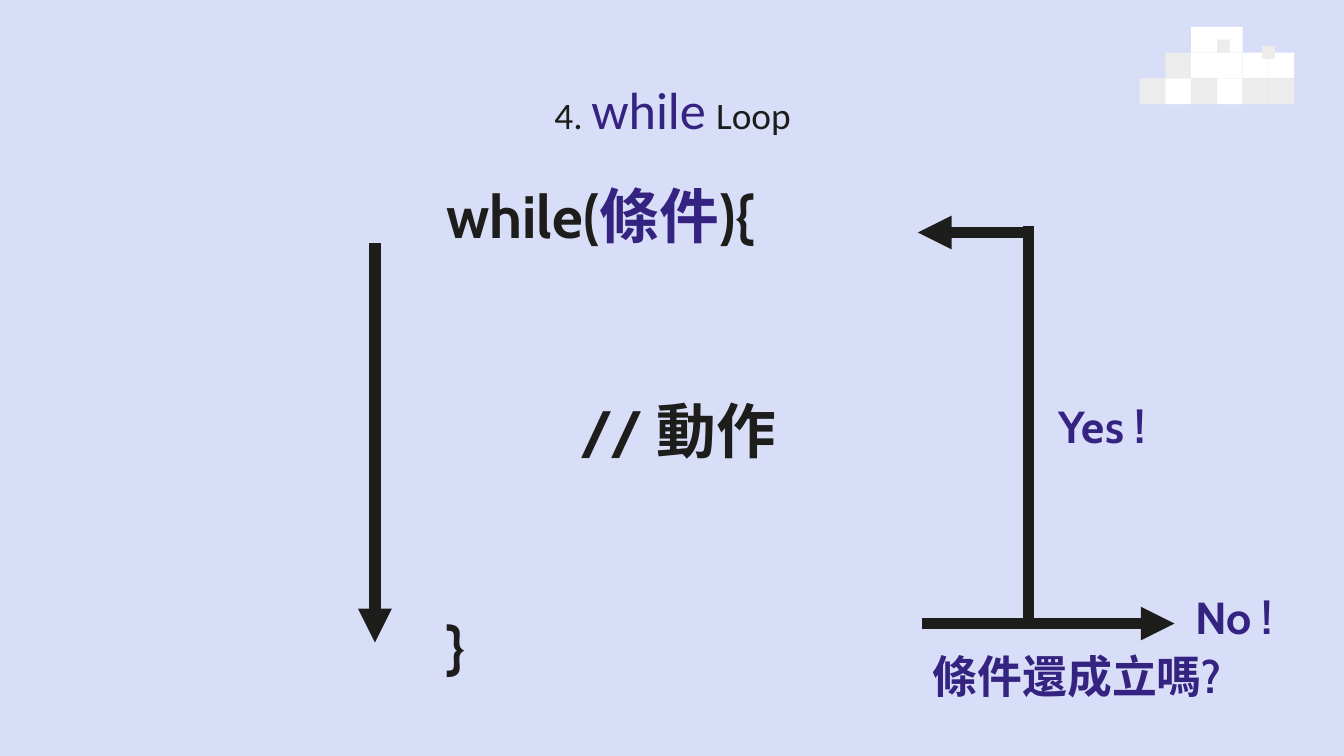
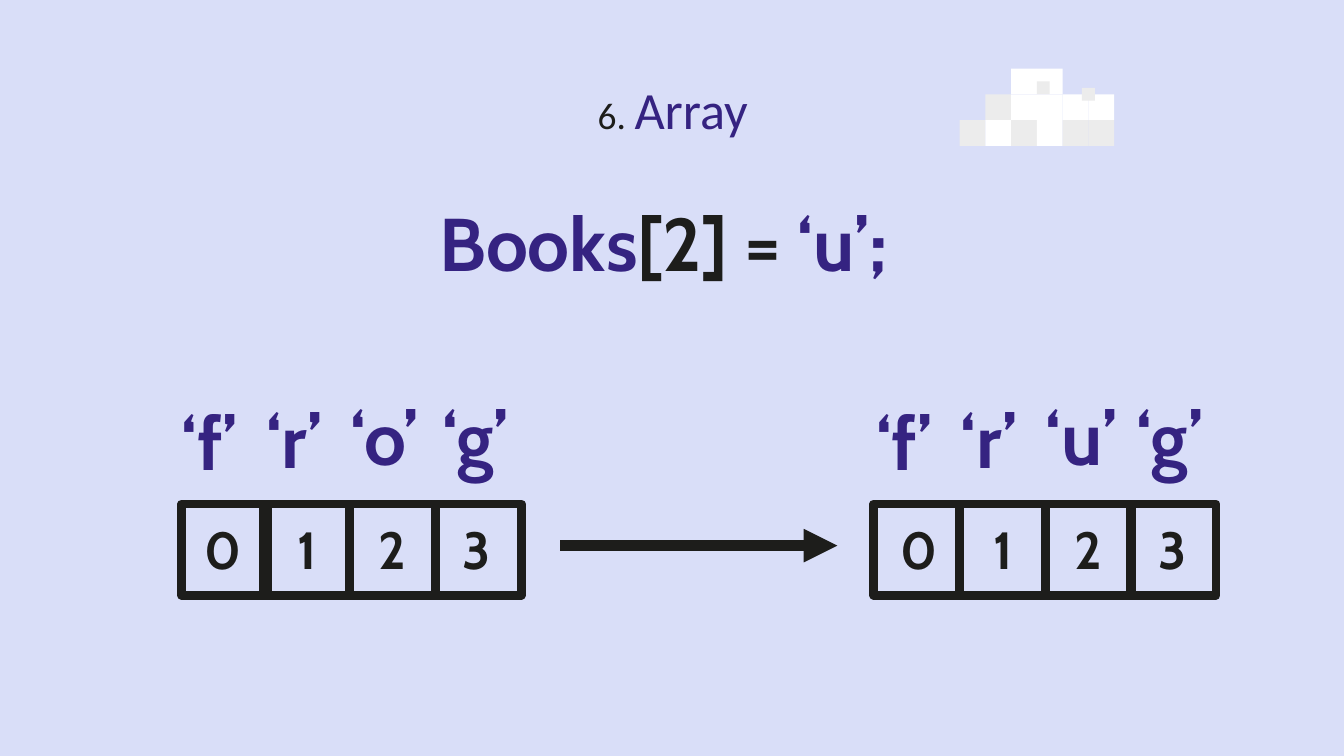
from lxml.etree import SubElement
from pptx import Presentation
from pptx.dml.color import RGBColor
from pptx.enum.shapes import MSO_CONNECTOR as CONN, MSO_SHAPE as SHAPE
from pptx.enum.text import MSO_ANCHOR as ANCHOR, MSO_AUTO_SIZE as AUTO, PP_ALIGN as ALIGN
from pptx.oxml.ns import qn
from pptx.util import Inches, Pt

SLIDE_W = 10
SLIDE_H = SLIDE_W * 9 / 16

SKY = RGBColor(0xD9, 0xDE, 0xF8)
INK = RGBColor(0x1D, 0x1D, 0x1B)
PURPLE = RGBColor(0x35, 0x23, 0x81)
WHITE = RGBColor(0xFF, 0xFF, 0xFF)
GREY = RGBColor(0xEC, 0xEC, 0xEC)

TITLE_FONT, BODY_FONT = "Calibri", "Cabin"
TITLE_BOX = (0.79, 0.49, 8.43, 0.63)

CLOUD_ROWS = ["..WW..", ".GWWWW", "GWGWGG"]
CLOUD_DOTS = [(3, 0.5), (4.75, 0.75)]
CLOUD_CELL = 1.15 / 6
CLOUD_COLOURS = {"W": WHITE, "G": GREY}

WHILE_TITLE = [("4. ", INK, 20), ("while", PURPLE, 28), (" ", PURPLE, 24), ("Loop", INK, 20)]
WHILE_CODE = [
    ([("while(", INK), ("條件", PURPLE), ("){", INK)], 0),
    ([("// 動作", INK)], 1),
    ([("}", INK)], 0),
]
CODE_GAP = 77
FLOW_LINES = [
    ((2.79, 1.81), (2.79, 4.78), True),
    ((7.65, 1.68), (7.65, 4.66), False),
    ((7.65, 1.73), (6.83, 1.73), True),
    ((6.86, 4.64), (8.74, 4.64), True),
]
FLOW_LABELS = [
    ("條件還成立嗎?", (6.78, 4.78, 2.47, 0.5)),
    ("Yes !", (7.79, 2.92, 0.82, 0.5)),
    ("No !", (8.77, 4.34, 0.82, 0.5)),
]

ARRAY_TITLE = [("6. ", INK, 20), ("Array", PURPLE, 28)]
ASSIGNMENT = [("Books", PURPLE), ("[2] = ", INK), ("‘u’;", PURPLE)]
ARRAYS = [
    {"letters": "frog", "cells": (1.35, 1.96, 2.6, 3.24), "index_x": 1.41, "letter_x": 1.35},
    {"letters": "frug", "cells": (6.5, 7.14, 7.78, 8.41), "index_x": 6.59, "letter_x": 6.52},
]
LETTER_OFFSETS = [(0, 2.84), (0.63, 2.83), (1.26, 2.81), (1.94, 2.81)]
CELL_W, CELL_H, CELL_TOP = 0.64, 0.68, 3.75
INDEX_STEP, INDEX_TOP = 0.63, 3.83


def box(values):
    return [Inches(v) for v in values]


def write(tf, lines, size=24, font=BODY_FONT, bold=True, align=ALIGN.LEFT,
          anchor=ANCHOR.MIDDLE, gap=0):
    tf.word_wrap, tf.auto_size, tf.vertical_anchor = True, AUTO.NONE, anchor
    tf.margin_left = tf.margin_right = tf.margin_top = tf.margin_bottom = 0
    for i, (runs, indent) in enumerate(lines):
        p = tf.add_paragraph() if i else tf.paragraphs[0]
        p.alignment = align
        if indent:
            p._p.get_or_add_pPr().set("marL", str(Inches(indent)))
        if i and gap:
            p.space_before = Pt(gap)
        for text, colour, *own_size in runs:
            r = p.add_run()
            r.text = text
            r.font.name, r.font.bold = font, bold
            r.font.size = Pt(own_size[0] if own_size else size)
            r.font.color.rgb = colour


def add_text(s, at, runs, **fmt):
    write(s.shapes.add_textbox(*box(at)).text_frame, [(runs, 0)], **fmt)


def add_line(s, start, end, arrow=True):
    sp = s.shapes.add_connector(CONN.STRAIGHT, *box(start + end))
    sp.line.color.rgb, sp.line.width = INK, Pt(6)
    if arrow:
        SubElement(sp.line._get_or_add_ln(), qn("a:tailEnd"), type="triangle")
    SubElement(sp._element.spPr, qn("a:effectLst"))


def add_cloud(s, left, top):
    group = s.shapes.add_group_shape()
    blocks = [(col, row, 1, CLOUD_COLOURS[mark])
              for row, marks in enumerate(CLOUD_ROWS)
              for col, mark in enumerate(marks) if mark != "."]
    blocks += [(col, row, 0.5, GREY) for col, row in CLOUD_DOTS]
    for col, row, scale, colour in blocks:
        at = (left + col * CLOUD_CELL, top + row * CLOUD_CELL,
              scale * CLOUD_CELL, scale * CLOUD_CELL)
        sp = group.shapes.add_shape(SHAPE.RECTANGLE, *box(at))
        sp.shadow.inherit = False
        sp.fill.solid()
        sp.fill.fore_color.rgb = colour
        sp.line.fill.background()


def add_slide(prs, title, cloud_at):
    s = prs.slides.add_slide(prs.slide_layouts[5])
    sp = s.shapes.title
    sp.left, sp.top, sp.width, sp.height = box(TITLE_BOX)
    write(sp.text_frame, [(title, 0)], font=TITLE_FONT, bold=False, align=ALIGN.CENTER)
    add_cloud(s, *cloud_at)
    return s


def add_array(s, array):
    for left in array["cells"]:
        sp = s.shapes.add_shape(SHAPE.RECTANGLE, *box((left, CELL_TOP, CELL_W, CELL_H)))
        sp.shadow.inherit = False
        sp.fill.background()
        sp.line.color.rgb, sp.line.width = INK, Pt(4.5)
    for i, (letter, (dx, top)) in enumerate(zip(array["letters"], LETTER_OFFSETS)):
        add_text(s, (array["index_x"] + i * INDEX_STEP, INDEX_TOP, 0.49, 0.5),
                 [(str(i), INK)], size=28, align=ALIGN.CENTER)
        add_text(s, (array["letter_x"] + dx, top, CELL_W, 0.87),
                 [(f"‘{letter}’", PURPLE)], size=40)


def build_while(prs):
    s = add_slide(prs, WHILE_TITLE, (8.48, 0.2))
    tf = s.shapes.add_textbox(*box((3.32, 1.33, 4.21, 3.81))).text_frame
    write(tf, WHILE_CODE, size=32, anchor=ANCHOR.TOP, gap=CODE_GAP)
    for start, end, arrow in FLOW_LINES:
        add_line(s, start, end, arrow)
    for text, at in FLOW_LABELS:
        add_text(s, at, [(text, PURPLE)], align=ALIGN.CENTER)


def build_array(prs):
    s = add_slide(prs, ARRAY_TITLE, (7.14, 0.51))
    add_text(s, (3.27, 1.36, 4.07, 0.87), ASSIGNMENT, size=40)
    for array in ARRAYS:
        add_array(s, array)
    add_line(s, (4.17, 4.06), (6.23, 4.06))


def main():
    prs = Presentation()
    prs.slide_width, prs.slide_height = box((SLIDE_W, SLIDE_H))
    fill = prs.slide_master.background.fill
    fill.solid()
    fill.fore_color.rgb = SKY
    build_while(prs)
    build_array(prs)
    prs.save("out.pptx")


if __name__ == "__main__":
    main()
